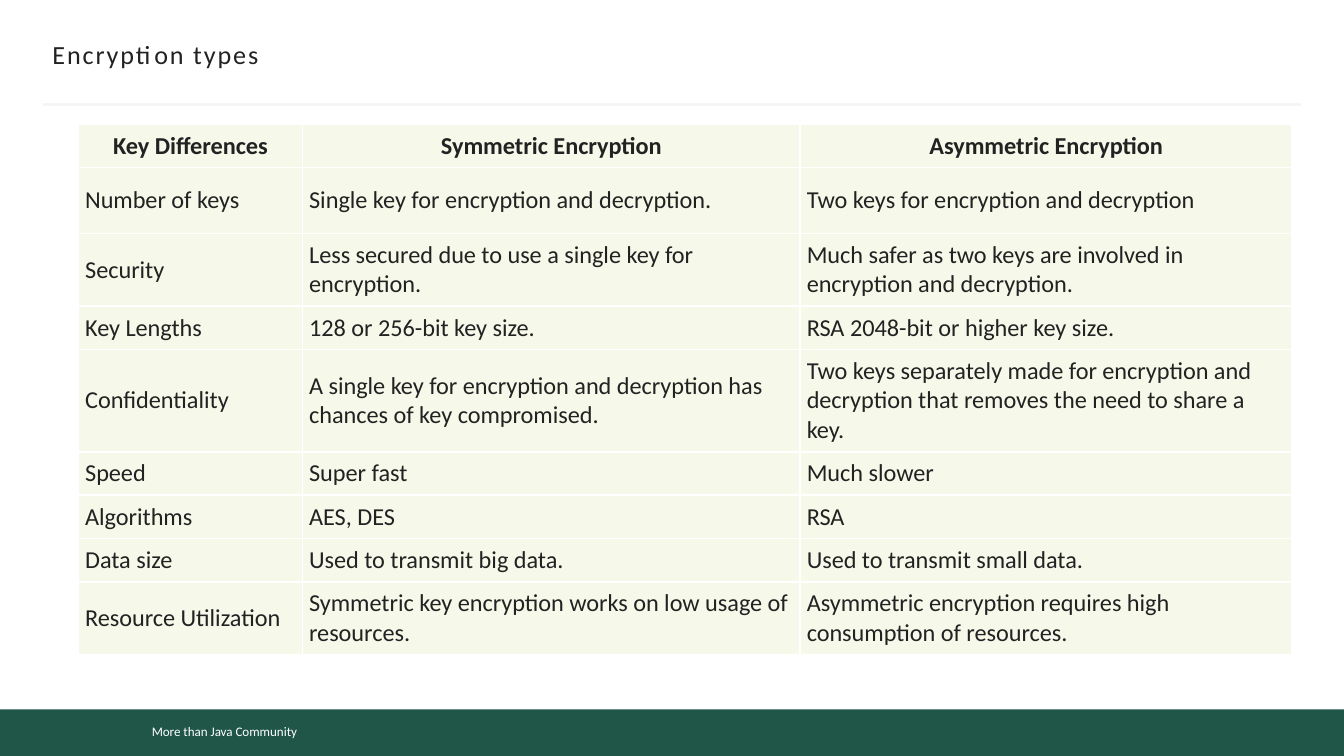
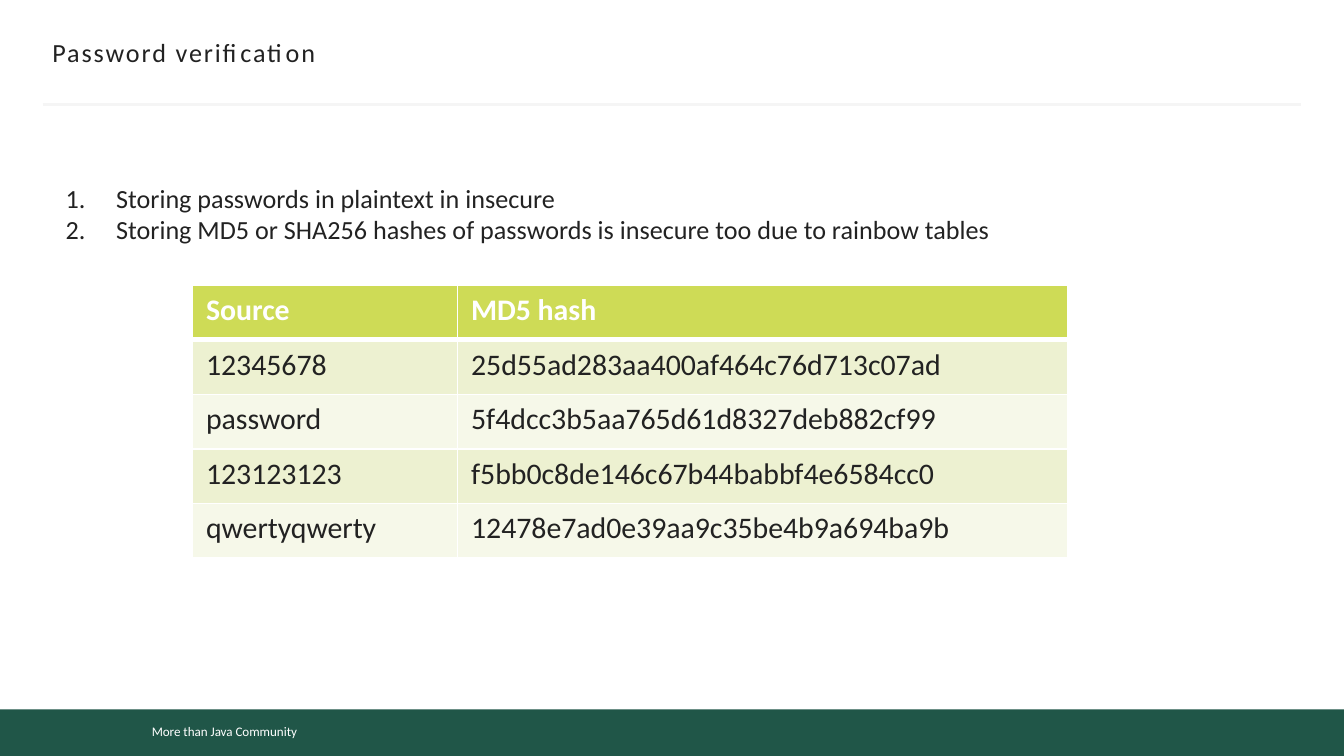
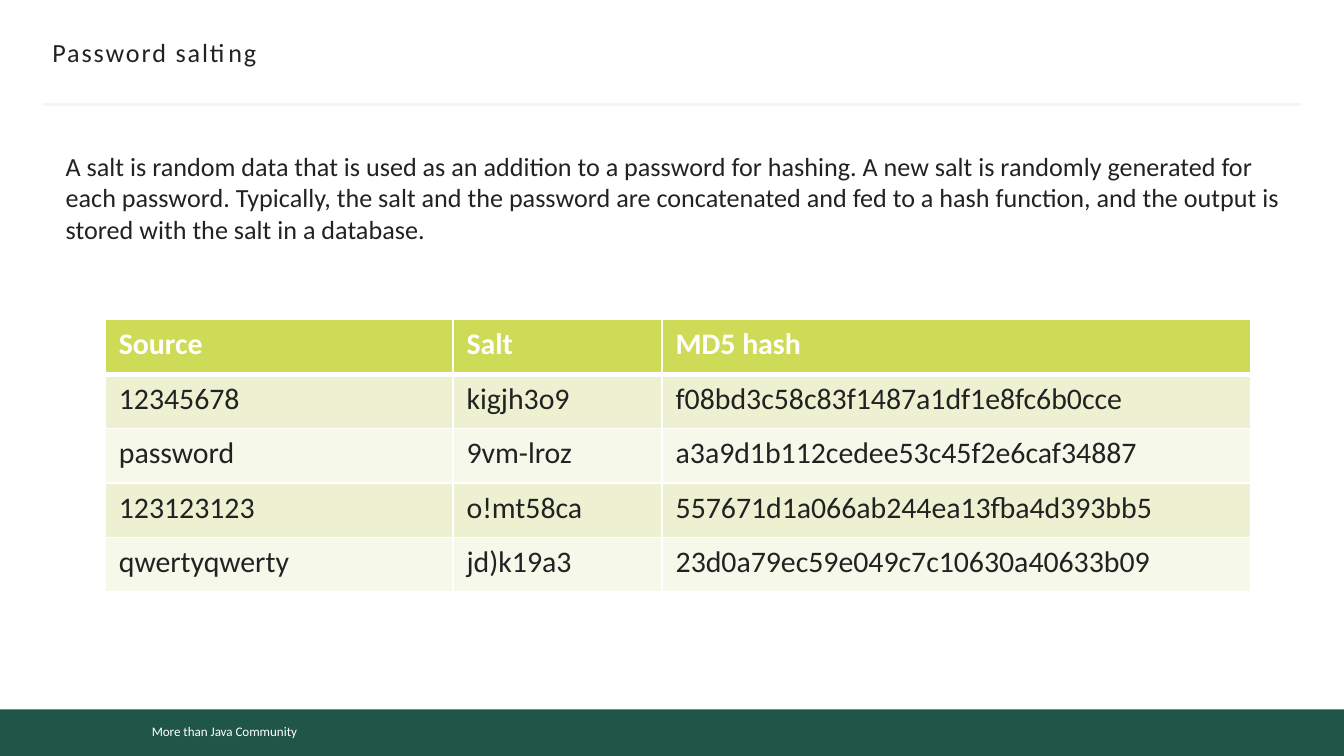
from pptx import Presentation
from pptx.dml.color import RGBColor
from pptx.enum.shapes import MSO_CONNECTOR, MSO_SHAPE
from pptx.enum.text import MSO_ANCHOR, MSO_AUTO_SIZE, PP_ALIGN
from pptx.oxml.ns import qn
from pptx.util import Pt
from lxml.etree import SubElement

WHITE = RGBColor(0xFF, 0xFF, 0xFF)
INK = RGBColor(0x22, 0x22, 0x22)
GREEN = RGBColor(0x20, 0x56, 0x48)
RULE = RGBColor(0xF5, 0xF5, 0xF5)
LIME = RGBColor(0xCE, 0xDB, 0x56)
LIME_MID = RGBColor(0xED, 0xF1, 0xD1)
LIME_PALE = RGBColor(0xF6, 0xF8, 0xE9)
FONT = "Calibri"
WIDTH, HEIGHT = 720, 405
MARGIN = 28.1

DIFFERENCES = [
    ("Key Differences", "Symmetric Encryption", "Asymmetric Encryption"),
    ("Number of keys", "Single key for encryption and decryption.",
     "Two keys for encryption and decryption"),
    ("Security", "Less secured due to use a single key for encryption.",
     "Much safer as two keys are involved in encryption and decryption."),
    ("Key Lengths", "128 or 256-bit key size.", "RSA 2048-bit or higher key size."),
    ("Confidentiality",
     "A single key for encryption and decryption has chances of key compromised.",
     "Two keys separately made for encryption and decryption that removes "
     "the need to share a key."),
    ("Speed", "Super fast", "Much slower"),
    ("Algorithms", "AES, DES", "RSA"),
    ("Data size", "Used to transmit big data.", "Used to transmit small data."),
    ("Resource Utilization", "Symmetric key encryption works on low usage of resources.",
     "Asymmetric encryption requires high consumption of resources."),
]
STORING = [
    "Storing passwords in plaintext in insecure",
    "Storing MD5 or SHA256 hashes of passwords is insecure too due to rainbow tables",
]
HASHES = [
    ("Source", "MD5 hash"),
    ("12345678", "25d55ad283aa400af464c76d713c07ad"),
    ("password", "5f4dcc3b5aa765d61d8327deb882cf99"),
    ("123123123", "f5bb0c8de146c67b44babbf4e6584cc0"),
    ("qwertyqwerty", "12478e7ad0e39aa9c35be4b9a694ba9b"),
]
SALTING = (
    "A salt is random data that is used as an addition to a password for hashing. "
    "A new salt is randomly generated for each password. Typically, the salt and the "
    "password are concatenated and fed to a hash function, and the output is stored "
    "with the salt in a database."
)
SALTED_HASHES = [
    ("Source", "Salt", "MD5 hash"),
    ("12345678", "kigjh3o9", "f08bd3c58c83f1487a1df1e8fc6b0cce"),
    ("password", "9vm-lroz", "a3a9d1b112cedee53c45f2e6caf34887"),
    ("123123123", "o!mt58ca", "557671d1a066ab244ea13fba4d393bb5"),
    ("qwertyqwerty", "jd)k19a3", "23d0a79ec59e049c7c10630a40633b09"),
]


def points(*values):
    return [Pt(v) for v in values]


def add_run(p, text, size, color=INK, bold=False):
    r = p.add_run()
    r.text = text
    r.font.name = FONT
    r.font.size = Pt(size)
    r.font.color.rgb = color
    r.font.bold = bold
    return r


def add_band(s, box):
    sp = s.shapes.add_shape(MSO_SHAPE.RECTANGLE, *points(*box))
    sp.shadow.inherit = False
    sp.fill.solid()
    sp.fill.fore_color.rgb = GREEN
    sp.line.fill.background()
    return sp


def add_footer(s, top):
    add_band(s, (0, top, WIDTH, HEIGHT - top))
    tf = add_band(s, (74.2, top + 3.8, 190.8, 15.8)).text_frame
    tf.word_wrap = True
    tf.vertical_anchor = MSO_ANCHOR.TOP
    p = tf.paragraphs[0]
    p.alignment = PP_ALIGN.LEFT
    add_run(p, "More than Java Community", 7, WHITE)


def add_rule(s, left, right, y):
    line = s.shapes.add_connector(MSO_CONNECTOR.STRAIGHT, *points(left, y, right, y))
    line.line.color.rgb = RULE
    line.line.width = Pt(1.5)
    SubElement(line._element.spPr, qn("a:effectLst"))


def set_title(s, text, box):
    sp = s.shapes.title
    sp.left, sp.top, sp.width, sp.height = points(*box)
    tf = sp.text_frame
    tf.auto_size = MSO_AUTO_SIZE.NONE
    tf.word_wrap = True
    tf.vertical_anchor = MSO_ANCHOR.MIDDLE
    tf.margin_left = tf.margin_right = 0
    p = tf.paragraphs[0]
    p.alignment = PP_ALIGN.LEFT
    p.line_spacing = 0.9
    r = add_run(p, text, 14)
    r._r.get_or_add_rPr().set("spc", "100")


def add_titled_slide(prs, title, title_top):
    s = prs.slides.add_slide(prs.slide_layouts[5])
    add_footer(s, 380)
    add_rule(s, 23, WIDTH - 23, 56.2)
    set_title(s, title, (MARGIN, title_top, WIDTH - 2 * MARGIN, 23.8))
    return s


def add_body(s, box, lines, numbered=False, first_offset=0):
    tf = s.shapes.add_textbox(*points(*box)).text_frame
    tf.word_wrap = True
    tf.margin_top = Pt(3.6 + first_offset)
    for i, line in enumerate(lines):
        p = tf.add_paragraph() if i else tf.paragraphs[0]
        add_run(p, line, 14)
        if numbered:
            pPr = p._p.get_or_add_pPr()
            pPr.set("marL", str(Pt(27)))
            pPr.set("indent", str(-Pt(27)))
            SubElement(pPr, qn("a:buFont"), typeface="+mj-lt")
            SubElement(pPr, qn("a:buAutoNum"), type="arabicPeriod")


def border_cell(cell, bottom=1):
    tcPr = cell._tc.get_or_add_tcPr()
    for side, width in (("L", 1), ("R", 1), ("T", 1), ("B", bottom)):
        ln = SubElement(tcPr, qn(f"a:ln{side}"), w=str(Pt(width)))
        fill = SubElement(ln, qn("a:solidFill"))
        SubElement(fill, qn("a:srgbClr"), val=str(WHITE))


def add_grid(s, left, top, widths, heights, rows):
    frame = s.shapes.add_table(
        len(rows), len(widths), *points(left, top, sum(widths), sum(heights)))
    table = frame.table
    table.horz_banding = False
    for column, width in zip(table.columns, widths):
        column.width = Pt(width)
    for row, height in zip(table.rows, heights):
        row.height = Pt(height)
    for i, texts in enumerate(rows):
        for j, text in enumerate(texts):
            yield i, table.cell(i, j), text


def fill_cell(cell, text, size, fill, color=INK, bold=False, bottom=1):
    border_cell(cell, bottom)
    cell.fill.solid()
    cell.fill.fore_color.rgb = fill
    add_run(cell.text_frame.paragraphs[0], text, size, color, bold)


def add_comparison_table(s, left, top, widths, heights, rows):
    for i, cell, text in add_grid(s, left, top, widths, heights, rows):
        fill_cell(cell, text, 13, LIME_PALE, bold=i == 0)
        cell.vertical_anchor = MSO_ANCHOR.MIDDLE
        cell.margin_left = cell.margin_right = Pt(3.6)
        if i == 0:
            cell.text_frame.paragraphs[0].alignment = PP_ALIGN.CENTER


def add_hash_table(s, left, top, widths, rows):
    for i, cell, text in add_grid(s, left, top, widths, [29.2] * len(rows), rows):
        if i == 0:
            fill_cell(cell, text, 16, LIME, WHITE, bold=True, bottom=3)
        else:
            fill_cell(cell, text, 16, LIME_MID if i % 2 else LIME_PALE)


def build_encryption_types(prs):
    s = add_titled_slide(prs, "Encryption types", 18)
    one_line, two_lines = 23.3, 38.4
    heights = [one_line, 35.3, two_lines, one_line, two_lines,
               one_line, one_line, one_line, two_lines]
    add_comparison_table(s, 42, 66.5, (120, 266.6, 263.6), heights, DIFFERENCES)


def build_password_verification(prs):
    s = add_titled_slide(prs, "Password verification", 17.3)
    add_body(s, (MARGIN, 77, 618.5, 74.9), STORING, numbered=True, first_offset=17.1)
    add_hash_table(s, 103.2, 152.9, (142, 326.7), HASHES)


def build_password_salting(prs):
    s = add_titled_slide(prs, "Password salting", 17.3)
    add_body(s, (MARGIN, 77, 670.3, 58.3), [SALTING])
    add_hash_table(s, 56.5, 171.2, (186.3, 112, 315.2), SALTED_HASHES)


def main():
    prs = Presentation()
    prs.slide_width, prs.slide_height = Pt(WIDTH), Pt(HEIGHT)
    build_encryption_types(prs)
    build_password_verification(prs)
    build_password_salting(prs)
    prs.save("out.pptx")


if __name__ == "__main__":
    main()
